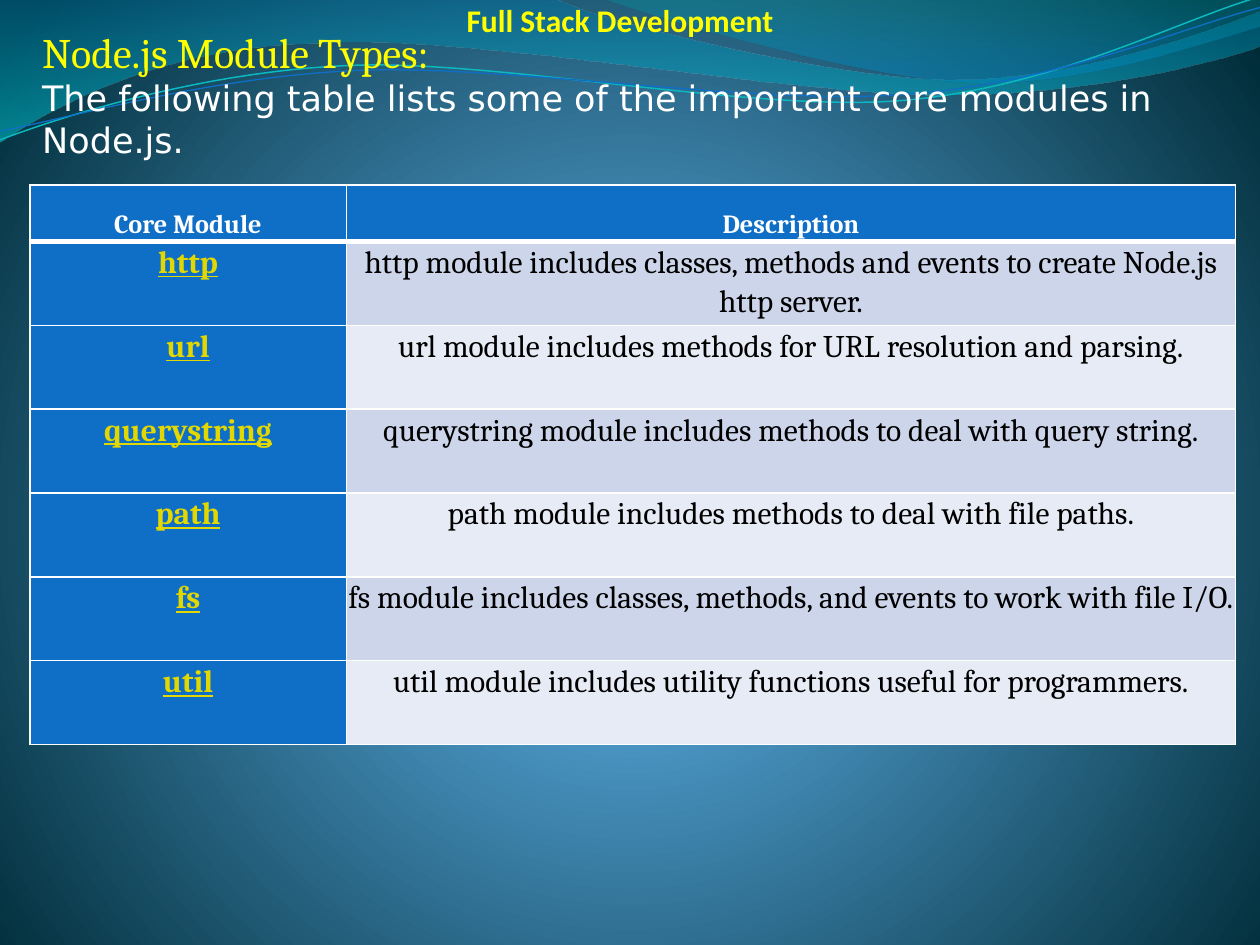
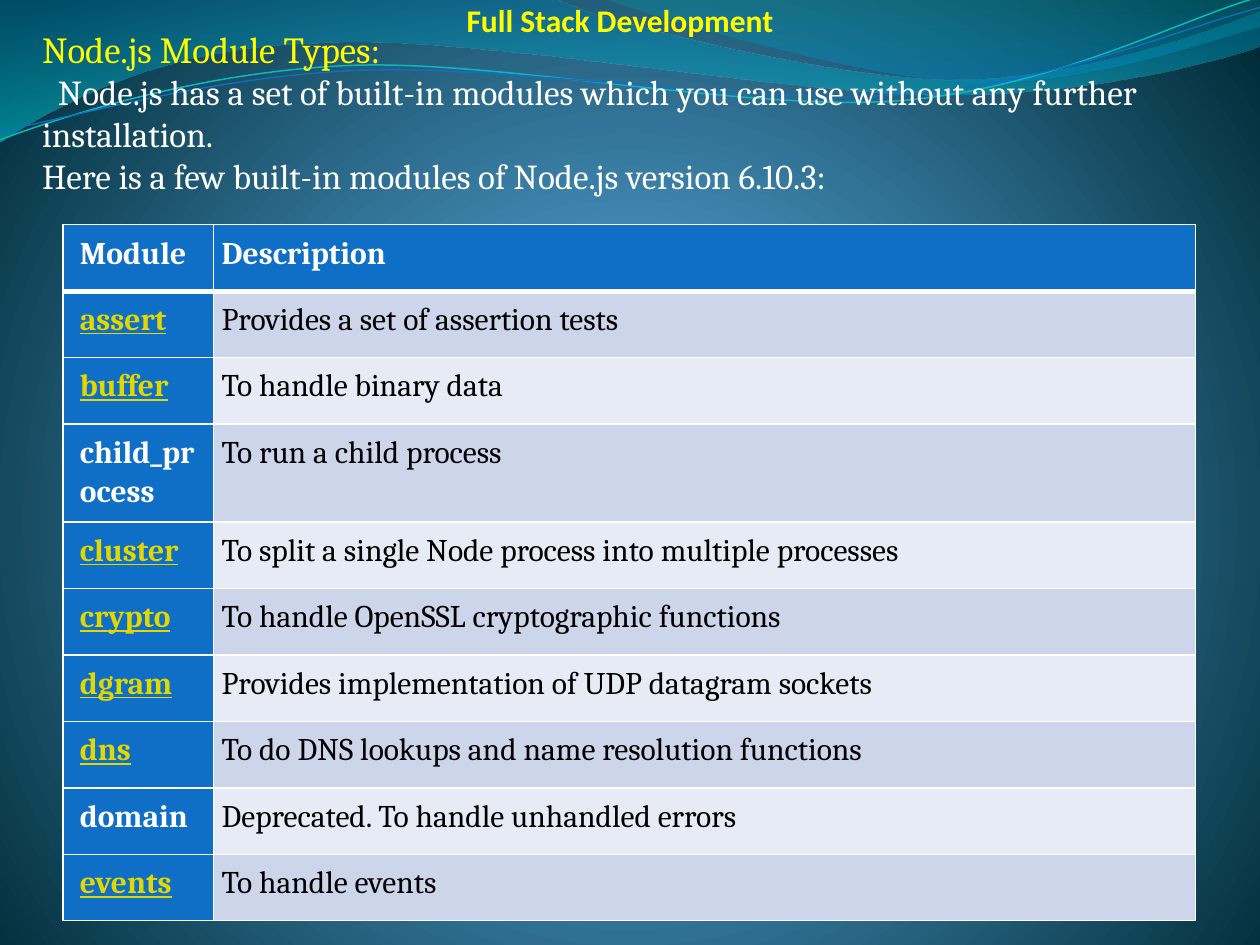
import math
from dataclasses import dataclass

from lxml import etree
from pptx import Presentation
from pptx import util as u
from pptx.dml.color import RGBColor
from pptx.enum import text
from pptx.oxml.ns import qn


@dataclass(frozen=True)
class Theme:
    yellow: str = "FFFF00"
    white: str = "FFFFFF"
    black: str = "000000"
    blue: str = "0F6FC6"
    link: str = "E2D700"
    bands: tuple = ("CCD5EA", "E7EBF5")
    serif: str = "Cambria"
    title_font: str = "Calibri"
    sans: str = "DejaVu Sans"
    base: int = 18
    intro: int = 20
    thin: int = 1
    thick: int = 3


THEME = Theme()
COURSE = "Full Stack Development"
TOPIC = "Node.js Module Types:"
INCH = 2.54  # wave points are in inches
LINE_TILT = 2.7  # degrees, counter-clockwise

# Gradient stops: position %, colour, opacity %
BACKDROP = [(0, "4AA0D6", 100), (25, "4C98C7", 100), (100, "002C38", 100)]

# Waves: start point, then line ends (2 numbers) or curves (6 numbers)
WIDE_WAVE = [(0, 0), (4.4, -0.01), (4.76, 0.17, 6.64, 0.63, 7.58, 0.63),
             (8.53, 0.63, 9.58, 0.26, 10, 0.09), (10.01, 0.36),
             (9.83, 0.44, 8.7, 0.76, 7.46, 0.75),
             (6.22, 0.75, 3.82, 0.28, 2.57, 0.34),
             (1.29, 0.36, 0.46, 0.83, -0.01, 1.13), (0, 0)]
RIGHT_WAVE = [(4.79, -0.01), (5.09, 0.11, 6.82, 0.62, 7.69, 0.65),
              (8.56, 0.69, 9.61, 0.32, 10, 0.21), (10, 0), (4.79, -0.01)]
UPPER_LINE = [(0, 1.11), (0.48, 0.93, 1.58, 0.57, 2.77, 0.52),
              (3.95, 0.47, 5.93, 0.89, 7.13, 0.8),
              (8.33, 0.71, 9.38, 0.15, 9.98, -0.02)]
LOWER_LINE = [(0, 1.04), (0.47, 0.96, 1.64, 0.61, 2.83, 0.56),
              (4.03, 0.51, 5.97, 0.84, 7.17, 0.75),
              (8.36, 0.67, 9.41, 0.21, 10, 0.06)]
FILLED_WAVES = [(WIDE_WAVE, [(0, "0074A1", 45), (100, "00C6CF", 55)]),
                (RIGHT_WAVE, [(0, "00A1A9", 30), (80, "008BBF", 45)])]
# Line waves: pieces, centre of rotation, colour, width
LINE_WAVES = [(UPPER_LINE, (4.99, 0.57), "0AB8BF", 0.85),
              (LOWER_LINE, (5, 0.59), THEME.blue, 0.75)]

CORE_MODULES = [
    ("http", "http module includes classes, methods and events to create Node.js http server."),
    ("url", "url module includes methods for URL resolution and parsing."),
    ("querystring", "querystring module includes methods to deal with query string."),
    ("path", "path module includes methods to deal with file paths."),
    ("fs", "fs module includes classes, methods, and events to work with file I/O."),
    ("util", "util module includes utility functions useful for programmers."),
]
BUILT_IN_MODULES = [
    ("assert", "Provides a set of assertion tests"),
    ("buffer", "To handle binary data"),
    ("child_process", "To run a child process"),
    ("cluster", "To split a single Node process into multiple processes"),
    ("crypto", "To handle OpenSSL cryptographic functions"),
    ("dgram", "Provides implementation of UDP datagram sockets"),
    ("dns", "To do DNS lookups and name resolution functions"),
    ("domain", "Deprecated. To handle unhandled errors"),
    ("events", "To handle events"),
]
UNLINKED = {"child_process", "domain"}


def add_node(parent, tag, **attributes):
    node = etree.SubElement(parent, qn(tag))
    for name, value in attributes.items():
        node.set(name, str(value))
    return node


def write(para, words, size=THEME.base, font=THEME.serif, color=THEME.white,
          bold=False, underline=False, align=None, indent=0,
          line=None, before=None, after=None):
    """Add words to a paragraph and format both."""
    span = para.add_run()
    span.text = words
    span.font.size = u.Pt(size)
    span.font.name = font
    span.font.bold = bold
    span.font.underline = underline
    span.font.color.rgb = RGBColor.from_string(color)
    para.alignment = align
    if line:
        para.line_spacing = line
    if before is not None:
        para.space_before = u.Pt(before)
    if after is not None:
        para.space_after = u.Pt(after)
    if indent:
        para._p.get_or_add_pPr().set("indent", str(u.Cm(indent)))


# Shared backdrop
def set_gradient(fill, element, stops, center=None):
    """Vertical gradient, or a circular one when center is given."""
    fill.gradient()
    gradient = element.find(".//" + qn("a:gradFill"))
    for child in list(gradient):
        gradient.remove(child)
    stop_list = add_node(gradient, "a:gsLst")
    for position, color, opacity in stops:
        stop = add_node(stop_list, "a:gs", pos=position * 1000)
        shade = add_node(stop, "a:srgbClr", val=color)
        if opacity < 100:
            add_node(shade, "a:alpha", val=opacity * 1000)
    if center:
        focus = add_node(gradient, "a:path", path="circle")
        sides = {side: share * 1000 for side, share in zip("ltrb", center)}
        add_node(focus, "a:fillToRect", **sides)
    else:
        add_node(gradient, "a:lin", ang=90 * 60000, scaled=1)


def turn(piece, center, degrees):
    """Rotate every point of a piece clockwise about center."""
    cos, sin = math.cos(math.radians(degrees)), math.sin(math.radians(degrees))
    turned = []
    for x, y in zip(piece[::2], piece[1::2]):
        dx, dy = x - center[0], y - center[1]
        turned += [center[0] + dx * cos - dy * sin, center[1] + dx * sin + dy * cos]
    return turned


def add_wave(slide, pieces, closed):
    """Freeform through the piece ends, with curves where control points exist."""
    pieces = [[u.Cm(value * INCH) for value in piece] for piece in pieces]
    ends = [tuple(piece[-2:]) for piece in pieces]
    builder = slide.shapes.build_freeform(*ends[0])
    builder.add_line_segments(ends[1:], close=closed)
    wave = builder.convert_to_shape()
    wave.shadow.inherit = False
    segments = wave.element.findall(".//" + qn("a:lnTo"))
    for segment, piece in zip(segments, pieces[1:]):
        if len(piece) == 6:
            curve = etree.Element(qn("a:cubicBezTo"))
            for x, y in zip(piece[::2], piece[1::2]):
                add_node(curve, "a:pt", x=x - wave.left, y=y - wave.top)
            segment.getparent().replace(segment, curve)
    return wave


def add_backdrop(deck, slide, layout):
    """Colour the master and move the waves into the shared layout."""
    master = deck.slide_master
    set_gradient(master.background.fill, master.element, BACKDROP, (10, 110, 10, 100))
    parts, lines = [], []
    for pieces, stops in FILLED_WAVES:
        wave = add_wave(slide, pieces, True)
        set_gradient(wave.fill, wave.element, stops)
        wave.line.fill.background()
        parts.append(wave)
    for pieces, center, color, width in LINE_WAVES:
        level = [turn(piece, center, LINE_TILT) for piece in pieces]
        wave = add_wave(slide, level, False)
        wave.rotation = 360 - LINE_TILT
        wave.fill.background()
        wave.line.color.rgb = RGBColor.from_string(color)
        wave.line.width = u.Pt(width)
        lines.append(wave)
    parts.append(slide.shapes.add_group_shape(lines))
    number = 100
    for part in parts:
        for label in part.element.iter(qn("p:cNvPr")):
            number += 1
            label.set("id", str(number))
        layout.shapes.element.append(part.element)


# Slide parts
def place(shape, left, top, width, height):
    shape.left, shape.top = u.Cm(left), u.Cm(top)
    shape.width, shape.height = u.Cm(width), u.Cm(height)


def add_titled_slide(deck, layout):
    slide = deck.slides.add_slide(layout)
    title = slide.shapes.title
    place(title, 4.56, -0.1, 15.88, 1.02)
    frame = title.text_frame
    frame.auto_size = text.MSO_AUTO_SIZE.NONE
    frame.vertical_anchor = text.MSO_ANCHOR.TOP
    write(frame.paragraphs[0], COURSE, font=THEME.title_font, color=THEME.yellow,
          bold=True, align=text.PP_ALIGN.CENTER)
    return slide


def add_intro(slide, height, topic_size, lines, font=THEME.serif):
    """Topic line, then (words, first-line indent) pairs."""
    box = slide.shapes.add_textbox(u.Cm(0.6), u.Cm(0.41), u.Cm(24.3), u.Cm(height))
    frame = box.text_frame
    frame.word_wrap = True
    write(frame.paragraphs[0], TOPIC, size=topic_size, color=THEME.yellow)
    for words, indent in lines:
        write(frame.add_paragraph(), words, size=THEME.intro, font=font, indent=indent)


def set_borders(cell, top, bottom):
    properties = cell._tc.get_or_add_tcPr()
    widths = {"L": THEME.thin, "R": THEME.thin, "T": top, "B": bottom}
    for position, (side, width) in enumerate(widths.items()):
        border = add_node(properties, "a:ln" + side, w=u.Pt(width))
        add_node(add_node(border, "a:solidFill"), "a:srgbClr", val=THEME.white)
        properties.insert(position, border)


def add_module_table(slide, left, top, widths, heights, header, modules,
                     insets, header_size=THEME.base,
                     header_anchor=text.MSO_ANCHOR.TOP, **spacing):
    """insets: left inset of each column, then the inset of other sides."""
    rows = [header] + modules
    frame = slide.shapes.add_table(len(rows), 2, u.Cm(left), u.Cm(top),
                                   u.Cm(sum(widths)), u.Cm(sum(heights)))
    table = frame.table
    table.first_row = table.horz_banding = False
    for column, width in zip(table.columns, widths):
        column.width = u.Cm(width)
    for r, (row, height) in enumerate(zip(rows, heights)):
        table.rows[r].height = u.Cm(height)
        for c, words in enumerate(row):
            cell = table.cell(r, c)
            cell.margin_left = u.Cm(insets[c])
            cell.margin_right = cell.margin_top = cell.margin_bottom = u.Cm(insets[2])
            is_header, is_name = r == 0, c == 0
            linked = is_name and not is_header and words not in UNLINKED
            strong = is_header or is_name
            cell.vertical_anchor = header_anchor if is_header else text.MSO_ANCHOR.TOP
            cell.fill.solid()
            cell.fill.fore_color.rgb = RGBColor.from_string(
                THEME.blue if strong else THEME.bands[(r - 1) % 2])
            color = THEME.link if linked else THEME.white if strong else THEME.black
            write(cell.text_frame.paragraphs[0], words,
                  size=header_size if is_header else THEME.base,
                  color=color, bold=strong, underline=linked, line=1.07, **spacing)
            set_borders(cell, THEME.thick if r == 1 else THEME.thin,
                        THEME.thick if is_header else THEME.thin)


def main():
    deck = Presentation()
    deck.slide_width, deck.slide_height = u.Cm(25.4), u.Cm(19.05)
    layout = deck.slide_layouts.get_by_name("Title Only")

    # Core modules
    core = add_titled_slide(deck, layout)
    add_backdrop(deck, core, layout)
    add_intro(core, 6.81, 24, [
        ("The following table lists some of the important core modules in Node.js.", 0),
    ], font=THEME.sans)
    add_module_table(core, 0.6, 3.73, (6.38, 17.93), [1.14] + [1.69] * 6,
                     ("Core Module", "Description"), CORE_MODULES,
                     insets=(0.02, 0.02, 0.02), header_size=15,
                     header_anchor=text.MSO_ANCHOR.BOTTOM,
                     align=text.PP_ALIGN.CENTER, after=8)

    # Built-in modules
    built_in = add_titled_slide(deck, layout)
    add_intro(built_in, 7.9, 21, [
        ("Node.js has a set of built-in modules which you can use without "
         "any further installation.", 0.32),
        ("Here is a few built-in modules of Node.js version 6.10.3:", 0),
    ])
    add_module_table(built_in, 1.27, 4.53, (3.03, 19.8), [1.34] * 10,
                     ("Module", "Description"), BUILT_IN_MODULES,
                     insets=(0.34, 0.17, 0.17), before=15, after=15)

    deck.save("out.pptx")


if __name__ == "__main__":
    main()
